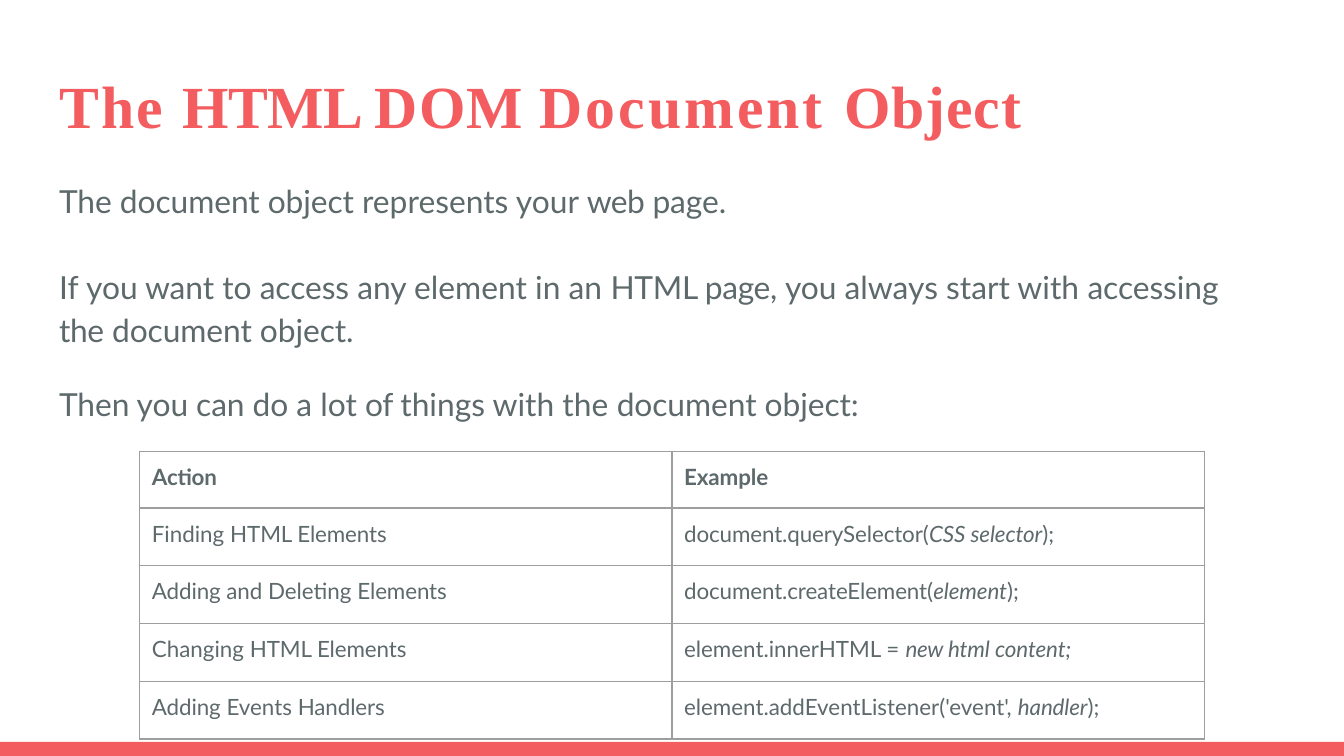
"""Build the slide about the HTML DOM document object."""
from dataclasses import dataclass

from lxml import etree
from pptx import Presentation
from pptx.dml.color import RGBColor
from pptx.enum.shapes import MSO_SHAPE
from pptx.enum.text import MSO_ANCHOR, MSO_AUTO_SIZE, PP_ALIGN
from pptx.oxml.ns import qn
from pptx.util import Inches, Pt

RECTANGLE = MSO_SHAPE.RECTANGLE
TOP = MSO_ANCHOR.TOP
GROW = MSO_AUTO_SIZE.SHAPE_TO_FIT_TEXT
LEFT = PP_ALIGN.LEFT

SLIDE_WIDTH = Inches(10)
SLIDE_HEIGHT = SLIDE_WIDTH * 9 // 16
COLORS = {"accent": "F45D60", "body": "5D696B", "border": "9E9E9E"}
TITLE_FORMAT = {"name": "Times New Roman", "size": Pt(32), "bold": True}
BODY_FORMAT = {"name": "Lato", "size": Pt(17), "bold": False}
HEADER_FORMAT = {"name": "Lato", "size": Pt(12), "bold": True}
CELL_FORMAT = HEADER_FORMAT | {"bold": False}
FRAME_FORMAT = {
    "margin_left": 0, "margin_right": 0, "margin_bottom": 0,
    "margin_top": Inches(0.01), "word_wrap": True,
    "auto_size": GROW, "vertical_anchor": TOP,
}
CELL_LAYOUT = {
    "margin_left": 0, "margin_right": 0, "margin_bottom": 0,
    "margin_top": Inches(0.09), "vertical_anchor": TOP,
}


@dataclass(frozen=True)
class Run:
    """A piece of text with its letter spacing in points."""
    text: str
    spacing: float = -0.05
    italic: bool = False


@dataclass(frozen=True)
class Block:
    """A paragraph with its spacing."""
    runs: list[Run]
    before: float
    line: float = 1.0
    indent: float = 0.02


TITLE = Block([
    Run("The ", 1.1), Run("HTML ", -0.2), Run("DOM ", 0.5),
    Run("Document ", 1.6), Run("Object", 0.5),
], 1)
BODY = [
    Block([
        Run("The document object "), Run("represents your ", 0),
        Run("web ", -0.3), Run("page."),
    ], 1),
    Block([
        Run("If ", 0), Run("you want "), Run("to ", 0), Run("access "),
        Run("any element in an ", 0), Run("HTML page, ", -0.2), Run("you "),
        Run("always start with ", 0), Run("accessing "), Run("the ", -0.2),
        Run("document object."),
    ], 22.8, 1.14),
    Block([
        Run("Then you can do "), Run("a lot ", 0), Run("of ", -0.3),
        Run("things with the ", 0), Run("document object:"),
    ], 19.4),
]
TABLE_ROWS = [
    ([Run("Action")], [Run("Example")]),
    ([Run("Finding ", 0), Run("HTML Elements")],
     [Run("document.querySelector("), Run("CSS selector", italic=True), Run(");")]),
    ([Run("Adding and "), Run("Deleting ", 0), Run("Elements")],
     [Run("document.createElement("), Run("element", italic=True), Run(");")]),
    ([Run("Changing ", 0), Run("HTML Elements")],
     [Run("element.innerHTML = ", 0), Run("new ", -0.2, True),
      Run("html content;", italic=True)]),
    ([Run("Adding "), Run("Events ", 0), Run("Handlers")],
     [Run("element.addEventListener('event', ", 0),
      Run("handler", italic=True), Run(");")]),
]


def apply_format(target, values: dict) -> None:
    """Set attributes from a dict of format values."""
    for name, value in values.items():
        setattr(target, name, value)


def write_block(paragraph, block: Block, font_format: dict, color: str) -> None:
    """Write the runs of a block into a paragraph."""
    apply_format(paragraph, {
        "alignment": LEFT, "space_before": Pt(block.before),
        "line_spacing": block.line,
    })
    properties = paragraph._p.get_or_add_pPr()
    properties.set("marL", str(Inches(block.indent)))
    properties.set("indent", "0")
    for item in block.runs:
        run = paragraph.add_run()
        run.text = item.text
        apply_format(run.font, font_format | {"italic": item.italic})
        run.font.color.rgb = RGBColor.from_string(COLORS[color])
        run._r.get_or_add_rPr().set("spc", str(round(item.spacing * 100)))


def place(shape, left: float, top: float, width: float, height: float) -> None:
    """Position a shape, in inches."""
    names = ("left", "top", "width", "height")
    apply_format(shape, dict(zip(names, map(Inches, (left, top, width, height)))))


def add_borders(cell) -> None:
    """Draw a thin line on every side of a cell."""
    properties = cell._tc.get_or_add_tcPr()
    for index, side in enumerate(("lnL", "lnR", "lnT", "lnB")):
        line = etree.Element(qn(f"a:{side}"), w=str(Pt(0.75)))
        fill = etree.SubElement(line, qn("a:solidFill"))
        etree.SubElement(fill, qn("a:srgbClr"), val=COLORS["border"])
        properties.insert(index, line)


def add_bar(slide) -> None:
    """Add the coloured bar at the bottom."""
    top = Inches(5.52)
    bar = slide.shapes.add_shape(
        RECTANGLE, 0, top, SLIDE_WIDTH, SLIDE_HEIGHT - top)
    bar.shadow.inherit = False
    bar.fill.solid()
    bar.fill.fore_color.rgb = RGBColor.from_string(COLORS["accent"])
    bar.line.fill.background()


def add_title(slide) -> None:
    """Move and fill the title placeholder."""
    title = slide.shapes.title
    place(title, 0.42, 0.5, 7.33, 0.56)
    apply_format(title.text_frame, FRAME_FORMAT)
    write_block(title.text_frame.paragraphs[0], TITLE, TITLE_FORMAT, "accent")


def add_body(slide) -> None:
    """Add the explanatory paragraphs."""
    box = slide.shapes.add_textbox(
        Inches(0.42), Inches(1.34), Inches(8.93), Inches(1.83))
    frame = box.text_frame
    apply_format(frame, FRAME_FORMAT)
    for index, block in enumerate(BODY):
        paragraph = frame.add_paragraph() if index else frame.paragraphs[0]
        write_block(paragraph, block, BODY_FORMAT, "body")


def add_action_table(slide) -> None:
    """Add the table of actions and examples."""
    table = slide.shapes.add_table(
        len(TABLE_ROWS), 2, Inches(1.04), Inches(3.36),
        Inches(7.92), Inches(2.13)).table
    apply_format(table, {"first_row": False, "horz_banding": False})
    for row_index, row in enumerate(TABLE_ROWS):
        table.rows[row_index].height = Inches(0.43 if row_index else 0.42)
        font_format = CELL_FORMAT if row_index else HEADER_FORMAT
        for column_index, runs in enumerate(row):
            cell = table.cell(row_index, column_index)
            apply_format(cell, CELL_LAYOUT)
            cell.fill.background()
            add_borders(cell)
            write_block(cell.text_frame.paragraphs[0],
                        Block(runs, 6.2, indent=0.09), font_format, "body")


def main() -> None:
    """Build and save the presentation."""
    presentation = Presentation()
    apply_format(presentation, {
        "slide_width": SLIDE_WIDTH, "slide_height": SLIDE_HEIGHT})
    slide = presentation.slides.add_slide(presentation.slide_layouts[5])
    add_bar(slide)
    add_title(slide)
    add_body(slide)
    add_action_table(slide)
    presentation.save("out.pptx")


if __name__ == "__main__":
    main()
